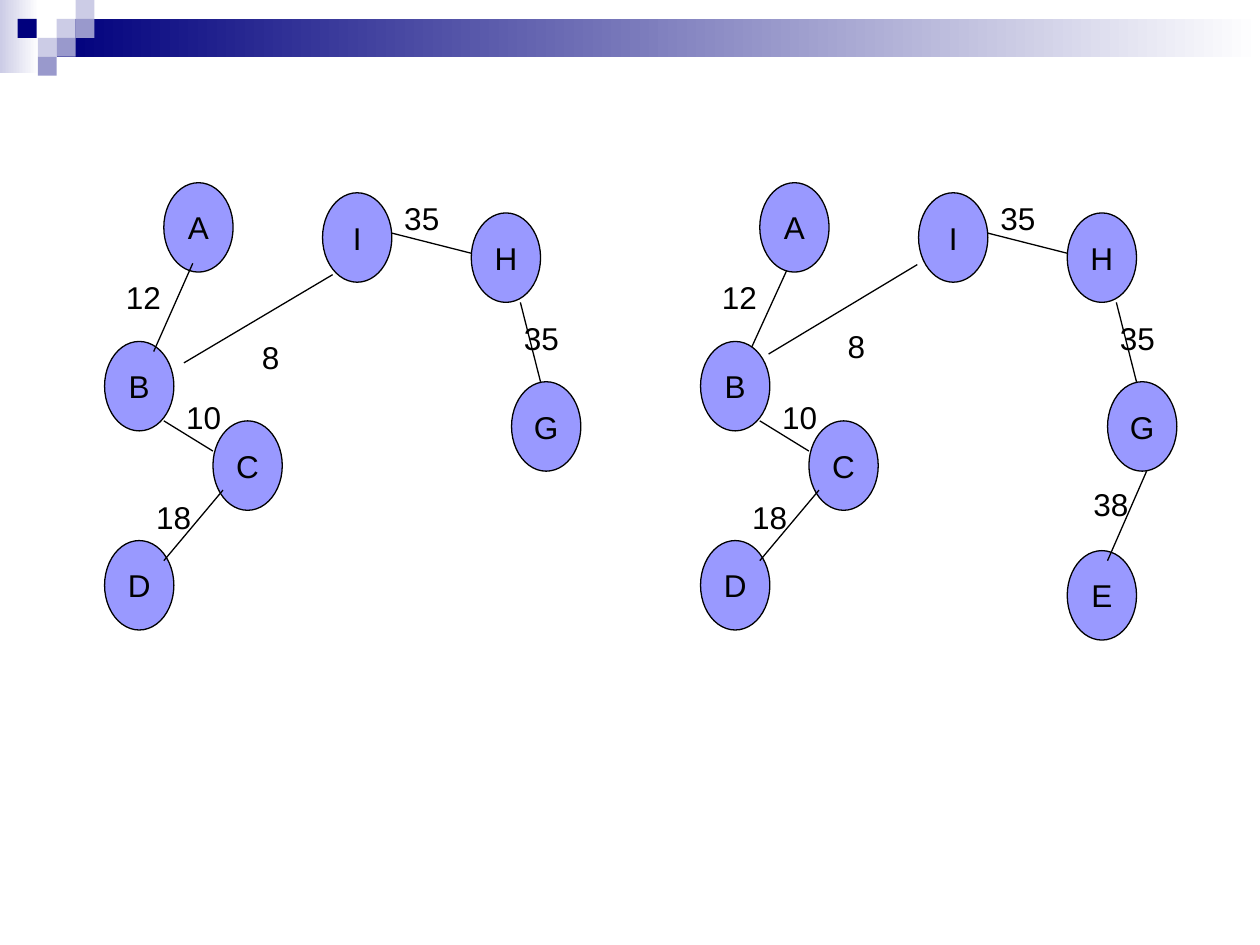
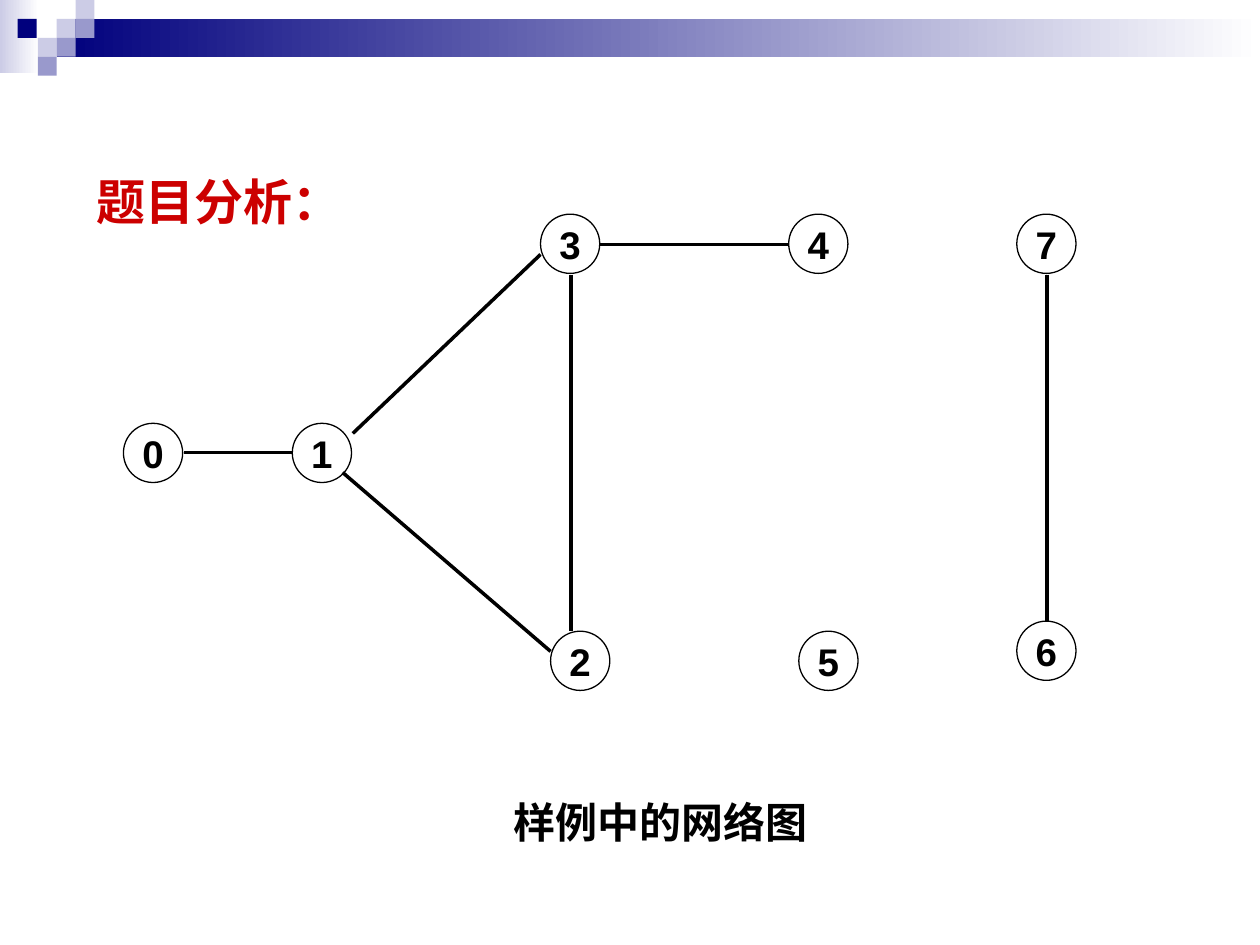
from lxml import etree
from pptx import Presentation
from pptx import util as u
from pptx.dml.color import RGBColor
from pptx.enum import shapes, text
from pptx.oxml import ns


def rgb(value):
    return RGBColor.from_string(value)


def write(s, words, size, bold, color, align):
    tf = s.text_frame
    tf.text = words
    p = tf.paragraphs[0]
    p.alignment = align
    r = p.runs[0]
    r.font.name = "Arial"
    r.font.size = u.Pt(size)
    r.font.bold = bold
    r.font.color.rgb = rgb(color)


BLACK, WHITE, RED = "000000", "FFFFFF", "CC0000"
NAVY, PALE, MID, NODE = "00007D", "CCCCE6", "9999CC", "9999FF"
LEFT, CENTER = text.PP_ALIGN.LEFT, text.PP_ALIGN.CENTER

prs = Presentation()
prs.slide_width = u.Inches(10)
prs.slide_height = u.Inches(7.5)
blank = prs.slide_layouts[6]
tree_slide = prs.slides.add_slide(blank)
network_slide = prs.slides.add_slide(blank)

bands = [(0, 0, 0.31, 0.58, PALE), (0.45, 0.15, 9.55, 0.3, NAVY)]
squares = [
    (0.45, 0.15, PALE), (0.6, 0, PALE), (0.6, 0.15, MID), (0.3, 0.3, PALE),
    (0.14, 0.15, NAVY), (0.45, 0.3, MID), (0.3, 0.45, MID),
]
header = bands + [(x, y, 0.15, 0.15, color) for x, y, color in squares]
for i, (x, y, w, h, color) in enumerate(header):
    s = tree_slide.shapes.add_shape(
        shapes.MSO_SHAPE.RECTANGLE, u.Inches(x), u.Inches(y), u.Inches(w), u.Inches(h))
    s.shadow.inherit = False
    s.line.fill.background()
    if i < len(bands):
        s.fill.gradient()
        s.fill.gradient_angle = 0
        for stop, position, shade in zip(s.fill.gradient_stops, (0, 1), (color, WHITE)):
            stop.position = position
            stop.color.rgb = rgb(shade)
    else:
        s.fill.solid()
        s.fill.fore_color.rgb = rgb(color)
    s.name = f"Header {i + 1}"
    s.element.xpath(".//p:cNvPr")[0].set("id", str(20 + i))
    prs.slide_master.shapes.element.append(s.element)

tree_nodes = [
    ("G", 4.06, 3.03), ("H", 3.74, 1.69), ("D", 0.83, 4.29), ("C", 1.69, 3.34),
    ("I", 2.56, 1.53), ("B", 0.83, 2.71), ("A", 1.3, 1.45),
]
tree_edges = [
    (1.3, 3.34, 1.69, 3.58), (1.77, 3.89, 1.3, 4.45),
    (3.11, 1.85, 3.74, 2.01), (4.13, 2.4, 4.29, 3.03),
]
tree_weights = [
    ("12", 0.9, 2.16, 1.02), ("10", 1.38, 3.11, 0.87), ("18", 1.14, 3.9, 0.71),
    ("35", 3.11, 1.53, 0.79), ("35", 4.06, 2.48, 0.79),
]
nodes, weights = [], []
edges = [(1.53, 2.09, 1.22, 2.79), (1.46, 2.88, 2.64, 2.18),
         (6.1, 2.81, 7.28, 2.1), (9.1, 3.74, 8.79, 4.45)]
for shift in (0, 4.73):
    nodes += [(name, x + shift, y) for name, x, y in tree_nodes]
    edges += [(x1 + shift, y1, x2 + shift, y2) for x1, y1, x2, y2 in tree_edges]
    weights += [(name, x + shift, y, w) for name, x, y, w in tree_weights]
nodes.append(("E", 8.47, 4.37))
weights += [("38", 8.58, 3.8, 1.42), ("8", 1.98, 2.63, 0.4), ("8", 6.63, 2.55, 0.4)]

network_nodes = [
    ("0", 0.98, 3.36), ("1", 2.32, 3.36), ("2", 4.37, 5.01), ("3", 4.29, 1.7),
    ("4", 6.26, 1.7), ("5", 6.34, 5.01), ("6", 8.07, 4.93), ("7", 8.07, 1.7),
]
network_edges = [
    (1.46, 3.59, 2.32, 3.59), (2.8, 3.44, 4.29, 2.02), (2.72, 3.75, 4.37, 5.17),
    (4.76, 1.94, 6.26, 1.94), (8.31, 2.18, 8.31, 4.93), (4.53, 2.18, 4.53, 5.01),
]

tree_texts = [(name, x, y, w, 0.4, 18, False, BLACK, LEFT) for name, x, y, w in weights]
network_texts = [
    ("题目分析：", 0.67, 1.29, 8.58, 1.08, 28, True, RED, LEFT),
    ("样例中的网络图", 3.82, 6.27, 2.84, 0.5, 24, True, BLACK, CENTER),
]

hidden_edges = [(6.27, 2.09, 5.95, 2.79)]
graphs = [
    (tree_slide, hidden_edges, nodes, edges, tree_texts, 0.55, 0.71, NODE, 18, False, 0.75),
    (network_slide, [], network_nodes, network_edges, network_texts,
     0.47, 0.47, None, 22, True, 2),
]
for slide, behind, circles, front, texts, w, h, fill, size, bold, weight in graphs:
    lines = []
    for x1, y1, x2, y2 in behind + front:
        s = slide.shapes.add_connector(
            shapes.MSO_CONNECTOR.STRAIGHT,
            u.Inches(x1), u.Inches(y1), u.Inches(x2), u.Inches(y2))
        s.line.color.rgb = rgb(BLACK)
        s.line.width = u.Pt(weight)
        etree.SubElement(s.element.spPr, ns.qn("a:effectLst"))
        lines.append(s)

    for name, x, y in circles:
        s = slide.shapes.add_shape(
            shapes.MSO_SHAPE.OVAL, u.Inches(x), u.Inches(y), u.Inches(w), u.Inches(h))
        s.shadow.inherit = False
        if fill:
            s.fill.solid()
            s.fill.fore_color.rgb = rgb(fill)
        else:
            s.fill.background()
        s.line.color.rgb = rgb(BLACK)
        s.line.width = u.Pt(0.75)
        s.text_frame.word_wrap = False
        s.text_frame.vertical_anchor = text.MSO_ANCHOR.MIDDLE
        write(s, name, size, bold, BLACK, CENTER)

    for s in lines[len(behind):]:
        slide.shapes.element.append(s.element)

    for words, x, y, box_w, box_h, text_size, text_bold, color, align in texts:
        s = slide.shapes.add_textbox(
            u.Inches(x), u.Inches(y), u.Inches(box_w), u.Inches(box_h))
        s.text_frame.word_wrap = True
        s.text_frame.auto_size = text.MSO_AUTO_SIZE.SHAPE_TO_FIT_TEXT
        write(s, words, text_size, text_bold, color, align)
        if color == RED:
            s.text_frame.paragraphs[0].line_spacing = 1.05

prs.save("out.pptx")
